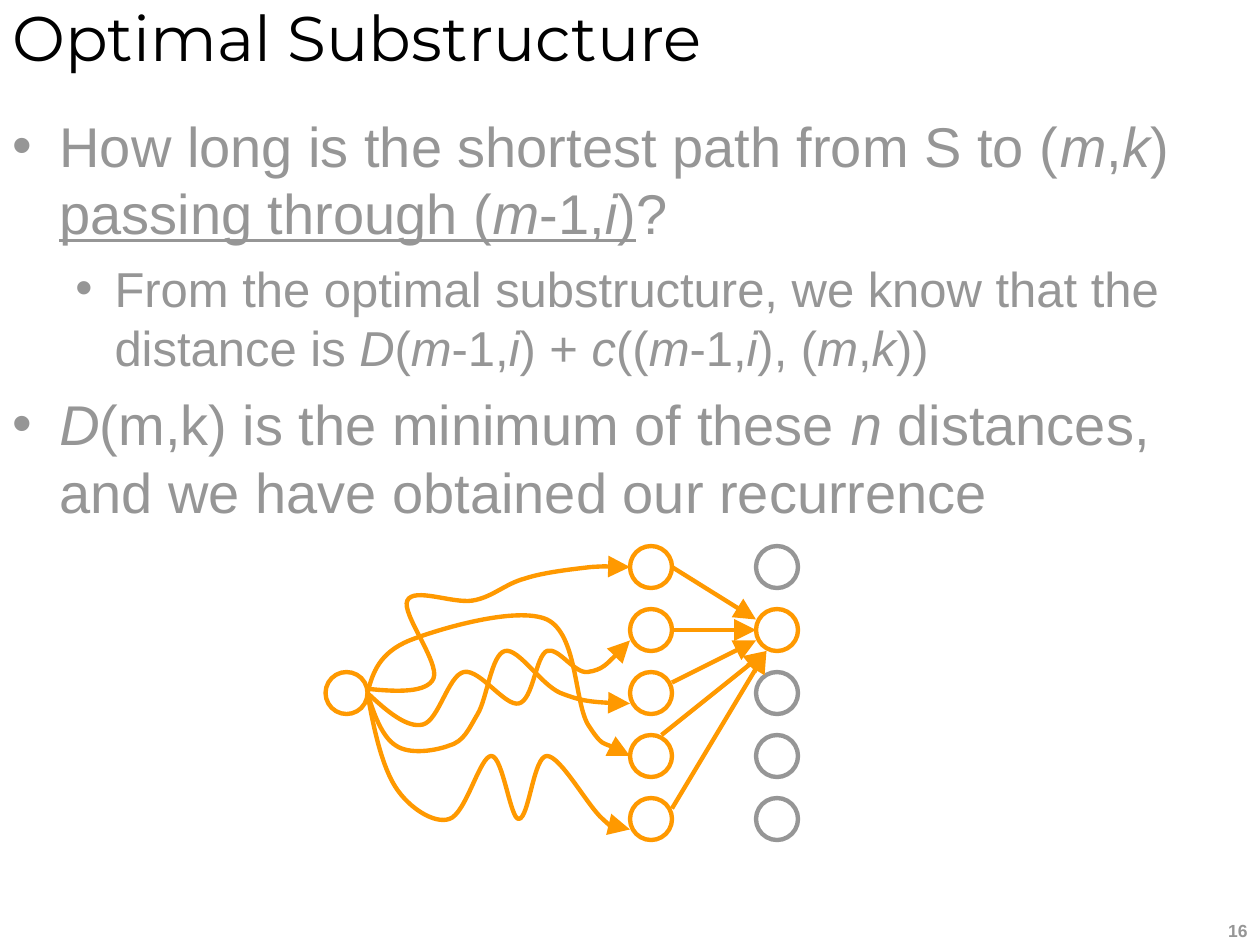
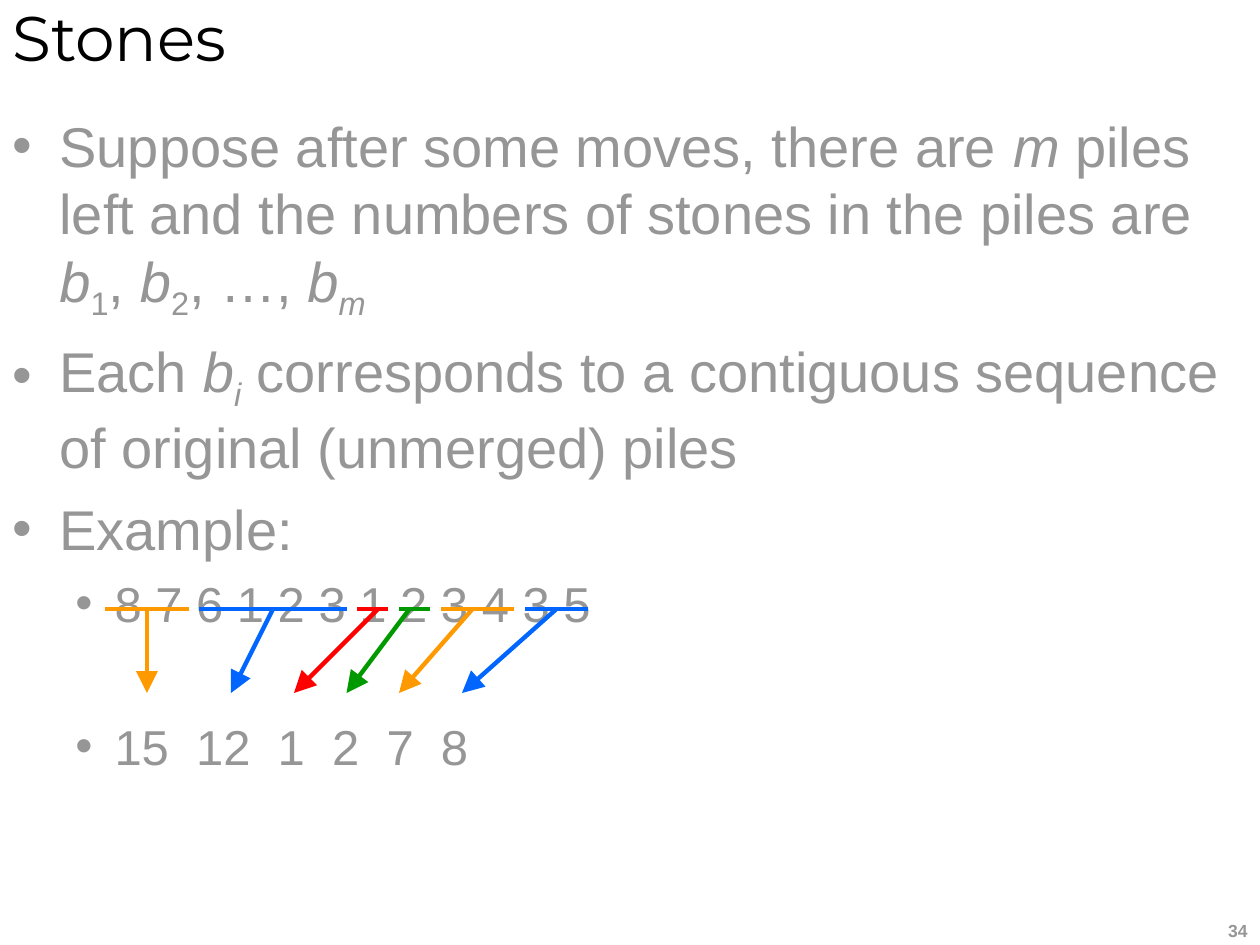
from lxml.etree import SubElement
from pptx import Presentation
from pptx.dml.color import RGBColor
from pptx.enum.shapes import MSO_CONNECTOR as CONNECTOR, MSO_SHAPE as SHAPE
from pptx.enum.text import MSO_ANCHOR as ANCHOR, PP_ALIGN as ALIGN
from pptx.oxml.ns import qn
from pptx.util import Cm, Pt

BLACK = RGBColor(0x00, 0x00, 0x00)
GREY = RGBColor(0x96, 0x96, 0x96)
ORANGE = RGBColor(0xFF, 0x99, 0x00)
BLUE = RGBColor(0x00, 0x66, 0xFF)
RED = RGBColor(0xFF, 0x00, 0x00)
GREEN = RGBColor(0x00, 0x99, 0x00)

STROKE = Pt(2.5)
LEVELS = [
    {"size": 32, "before": 8, "margin": Cm(0.95), "hang": Cm(0.95)},
    {"size": 28, "before": 7, "margin": Cm(2.06), "hang": Cm(0.79)},
]
STYLE_MARKS = {"*": "italic", "_": "underline", "~": "subscript"}

SUBSTRUCTURE_POINTS = [
    (0, "How long is the shortest path from S to (*m*,*k*) "
        "_passing through (*m*-1,*i*)_?", 0),
    (1, "From the optimal substructure, we know that the distance is "
        "*D*(*m*-1,*i*) + *c*((*m*-1,*i*), (*m*,*k*))", None),
    (0, "*D*(m,k) is the minimum of these *n* distances, "
        "and we have obtained our recurrence", None),
]
STONES_POINTS = [
    (0, "Suppose after some moves, there are *m* piles left and the numbers "
        "of stones in the piles are *b*~1~, *b*~2~, …, *b~m~*", 0),
    (0, "Each *b~i~* corresponds to a contiguous sequence "
        "of original (unmerged) piles", None),
    (0, "Example:", None),
    (1, "8 7 6 1 2 3 1 2 3 4 3 5", None),
    (1, "15  12  1  2  7  8", 48),
]

SOURCE_X, STAGE_X, TARGET_X = 31, 60, 72
NODE_ROWS = range(52, 77, 6)
SOURCE_ROW, TARGET_ROW = 64, 58
LAST_STEPS = [
    ((64, 54), (72, 59)),
    ((64, 60), (72, 60)),
    ((64, 65), (72, 61)),
    ((63, 70), (73, 62)),
    ((64, 77), (73, 62)),
]
WINDING_ROUTES = [
    [(35, 65.6), (37.8, 65.9), (40.7, 66), (41.3, 64.6),
     (41.9, 63.1), (38.2, 58.4), (38.8, 57.2),
     (39.4, 55.9), (43.1, 57.5), (45, 57.2),
     (46.9, 56.9), (48.1, 55.6), (50, 55.1),
     (51.8, 54.5), (54.6, 54.2), (56.3, 54),
     (58, 53.9), (59.4, 54), (60, 54)],
    [(35, 66), (36.8, 67.7), (38.8, 69.4), (40.3, 69),
     (41.8, 68.6), (42.7, 64.3), (44.2, 64),
     (45.7, 63.7), (48.1, 67.3), (49.4, 67),
     (50.8, 66.7), (51, 62.5), (52.1, 62),
     (53.2, 61.6), (54.7, 64.2), (56, 64),
     (57.4, 63.8), (58.7, 62.4), (60, 61)],
    [(35, 66), (35.6, 68), (36.4, 70.2), (37.7, 71),
     (39, 71.9), (41.5, 71.5), (42.8, 71),
     (44.2, 70.6), (44.6, 69.5), (45.5, 68),
     (46.4, 66.5), (46.8, 62.3), (48.1, 62),
     (49.4, 61.7), (51.5, 65.2), (53.4, 66),
     (55.4, 66.8), (57.7, 67), (60, 67)],
    [(35, 66), (35.5, 64.1), (36.1, 62.2), (39, 61),
     (41.8, 59.9), (49.2, 57.7), (52.1, 59),
     (55, 60.4), (54.7, 66.8), (56, 69),
     (57.4, 71.2), (59.4, 71.5), (60, 72)],
    [(35, 66), (35.6, 69.5), (36.4, 73), (37.7, 75),
     (39, 77), (41.4, 78.5), (42.8, 78),
     (44.4, 77.5), (45.7, 72), (46.8, 72),
     (47.9, 72), (48.6, 78), (49.4, 78),
     (50.4, 78), (50.8, 72), (52.1, 72),
     (53.4, 72), (56, 76.8), (57.4, 78),
     (58.7, 79.2), (59.4, 79.1), (60, 79)],
]

BAR_START, BAR_Y, SUM_Y = 10, 58, 66
PILES = [
    (8, ORANGE, 14, 14),
    (14, BLUE, 26, 22),
    (3, RED, 36, 28),
    (3, GREEN, 39, 33),
    (7, ORANGE, 45, 38),
    (6, BLUE, 53, 44),
]


def grid(steps):
    """Return a length counted in steps of a twelfth of an inch."""
    return Cm(steps * 2.54 / 12)


def add_frame(slide, left, top, width, height):
    """Add a wrapping text box and return its text frame."""
    frame = slide.shapes.add_textbox(Cm(left), Cm(top), Cm(width), Cm(height)).text_frame
    frame.word_wrap = True
    frame.margin_left = frame.margin_right = Cm(0.25)
    frame.margin_top = frame.margin_bottom = Cm(0.13)
    return frame


def add_run(paragraph, text, size, color, font="Arial"):
    """Append one run in the given font."""
    run = paragraph.add_run()
    run.text = text
    run.font.name, run.font.size = font, Pt(size)
    run.font.color.rgb = color
    return run


def split_styles(markup):
    """Yield each stretch of text with the set of styles it carries."""
    text, styles = "", set()
    for letter in markup:
        if letter not in STYLE_MARKS:
            text += letter
            continue
        if text:
            yield text, set(styles)
        text = ""
        styles ^= {STYLE_MARKS[letter]}
    if text:
        yield text, styles


def add_bullet(paragraph, level, markup, before):
    """Fill a paragraph as a bullet of the given level."""
    look = LEVELS[level]
    paragraph.level = level
    paragraph.space_before = Pt(look["before"] if before is None else before)
    properties = paragraph._p.get_or_add_pPr()
    properties.set("marL", str(look["margin"]))
    properties.set("indent", str(-look["hang"]))
    bullet_color = SubElement(properties, qn("a:buClr"))
    SubElement(bullet_color, qn("a:srgbClr"), val=str(GREY))
    SubElement(properties, qn("a:buFont"), typeface="Arial")
    SubElement(properties, qn("a:buChar"), char="•")
    for text, styles in split_styles(markup):
        run = add_run(paragraph, text, look["size"], GREY)
        if "italic" in styles:
            run.font.italic = True
        if "underline" in styles:
            run.font.underline = True
        if "subscript" in styles:
            run._r.get_or_add_rPr().set("baseline", "-25000")


def add_page(deck, title, number, points):
    """Add a slide with its title, bullets and page number."""
    slide = deck.slides.add_slide(deck.slide_layouts[6])
    footer = add_frame(slide, 20.12, 18.42, 5.28, 0.64).paragraphs[0]
    footer.alignment = ALIGN.RIGHT
    add_run(footer, number, 10, GREY).font.bold = True
    heading = add_frame(slide, 0, -0.22, 25.4, 1.9)
    heading.vertical_anchor = ANCHOR.MIDDLE
    add_run(heading.paragraphs[0], title, 36, BLACK, "Montserrat")
    body = add_frame(slide, 0, 2.12, 25.4, 15.66)
    for index, point in enumerate(points):
        add_bullet(body.add_paragraph() if index else body.paragraphs[0], *point)
    return slide


def set_stroke(shape, color, arrow=False):
    """Draw the outline of a shape or line, with an arrowhead if asked."""
    shape.line.color.rgb = color
    shape.line.width = STROKE
    if arrow:
        SubElement(shape.line._get_or_add_ln(), qn("a:tailEnd"),
                   type="triangle", w="lg", len="lg")


def add_line(slide, start, end, color, arrow=False):
    """Add a straight line between two grid points."""
    ends = [grid(value) for value in (*start, *end)]
    line = slide.shapes.add_connector(CONNECTOR.STRAIGHT, *ends)
    set_stroke(line, color, arrow)
    SubElement(line._element.spPr, qn("a:effectLst"))


def add_node(slide, x, y, color):
    """Add a hollow round node."""
    node = slide.shapes.add_shape(SHAPE.OVAL, grid(x), grid(y), grid(4), grid(4))
    node.shadow.inherit = False
    node.fill.background()
    set_stroke(node, color)


def add_route(slide, points):
    """Add a curved arrow from a start and triples of Bézier points."""
    start, *controls = [(grid(x), grid(y)) for x, y in points]
    builder = slide.shapes.build_freeform(*start)
    builder.add_line_segments(controls, close=False)
    route = builder.convert_to_shape()
    steps = list(route._element.iter(qn("a:lnTo")))
    outline = steps[0].getparent()
    for first in range(0, len(steps), 3):
        curve = SubElement(outline, qn("a:cubicBezTo"))
        for step in steps[first:first + 3]:
            curve.append(step[0])
            outline.remove(step)
    route.shadow.inherit = False
    route.fill.background()
    set_stroke(route, ORANGE, arrow=True)


def draw_stage_graph(slide):
    """Draw the routes from the source through the stage to the target."""
    add_node(slide, SOURCE_X, SOURCE_ROW, ORANGE)
    for row in NODE_ROWS:
        add_node(slide, STAGE_X, row, ORANGE)
        add_node(slide, TARGET_X, row, ORANGE if row == TARGET_ROW else GREY)
    for start, end in LAST_STEPS:
        add_line(slide, start, end, ORANGE, arrow=True)
    for points in WINDING_ROUTES:
        add_route(slide, points)


def draw_pile_merges(slide):
    """Mark each run of piles and point to its merged sum."""
    left = BAR_START
    for width, color, origin, total in PILES:
        add_line(slide, (left, BAR_Y), (left + width, BAR_Y), color)
        add_line(slide, (origin, BAR_Y), (total, SUM_Y), color, arrow=True)
        left += width + 1


def main():
    """Build and save the two slides."""
    deck = Presentation()
    deck.slide_width, deck.slide_height = Cm(25.4), Cm(19.05)
    draw_stage_graph(add_page(deck, "Optimal Substructure", "16", SUBSTRUCTURE_POINTS))
    draw_pile_merges(add_page(deck, "Stones", "34", STONES_POINTS))
    deck.save("out.pptx")


if __name__ == "__main__":
    main()
